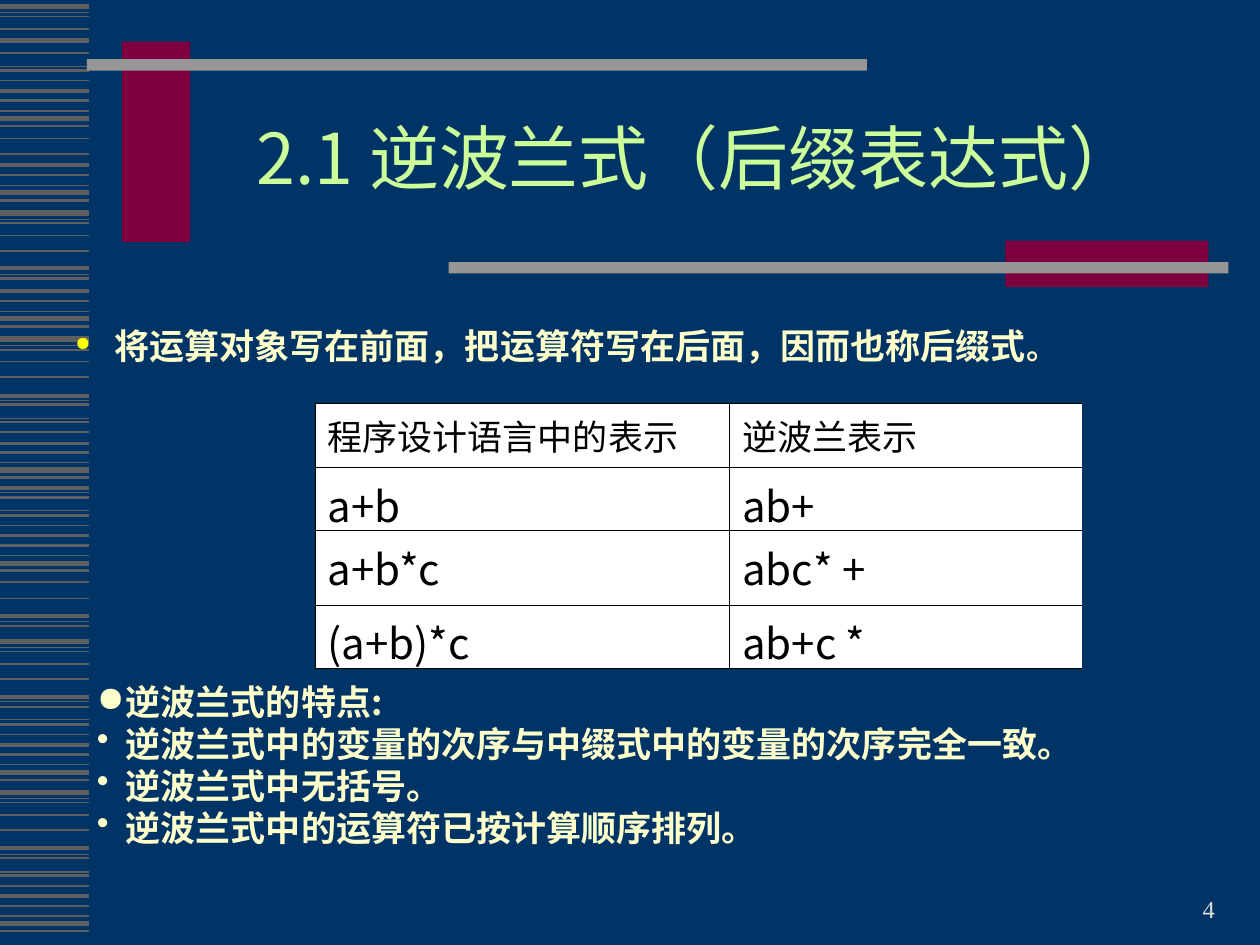
import pptx
import pptx.dml.color
import pptx.enum.shapes
import pptx.enum.text
import pptx.oxml
import pptx.oxml.ns
import pptx.util
from pptx.dml.color import RGBColor
from pptx.util import Inches

NAVY = RGBColor(0x00, 0x33, 0x66)
STRIPE_GRAY = RGBColor(0x5F, 0x5F, 0x5F)
BAR_GRAY = RGBColor(0x96, 0x96, 0x96)
MAROON = RGBColor(0x7E, 0x00, 0x3F)
LIME = RGBColor(0xCC, 0xFF, 0x99)
CREAM = RGBColor(0xFF, 0xFF, 0xCC)
YELLOW = RGBColor(0xFF, 0xFF, 0x00)
NUMBER_GRAY = RGBColor(0xDD, 0xDD, 0xDD)
BLACK = RGBColor(0x00, 0x00, 0x00)
WHITE = RGBColor(0xFF, 0xFF, 0xFF)

CHINESE_FONT = "Noto Sans CJK SC"
NUMBER_FONT = "Times New Roman"
ALIGN = pptx.enum.text.PP_ALIGN
ANCHOR = pptx.enum.text.MSO_ANCHOR

STRIPES = {
    0.75: [0.1, 0.53, 0.88, 1.47, 1.74, 2.18, 2.47, 2.74, 3.18, 3.32, 3.67, 3.91,
           4.05, 4.41, 4.93, 5.14, 5.57, 5.71, 6.07, 6.34, 6.78, 6.92, 7.27],
    1: [0.13, 0.23, 0.64, 1.1, 1.22, 1.77, 1.87, 1.99, 2.78, 2.87, 2.99, 3.43,
        4.17, 4.62, 4.75, 5.17, 5.27, 5.39, 5.83, 6.37, 6.47, 6.59, 7.03],
    1.5: [0.42, 0.56, 0.8, 1, 1.39, 1.59, 2.21, 2.39, 2.59, 3.21, 3.35, 3.59, 3.79,
          3.95, 4.09, 4.33, 4.53, 4.97, 5.61, 5.75, 5.99, 6.19, 6.81, 6.95, 7.19, 7.39],
    2.25: [0.72, 1.31, 2.13, 2.31, 3.14, 3.52, 3.87, 4.25, 4.89, 5.53, 5.91, 6.73, 7.11],
    3: [0.05, 0.32, 0.94, 1.53, 1.69, 2.53, 2.69, 3.73, 4.47, 5.09, 6.13, 6.29, 7.33],
}
NOTATIONS = [
    ("程序设计语言中的表示", "逆波兰表示"),
    ("a+b", "ab+"),
    ("a+b*c", "abc* +"),
    ("(a+b)*c", "ab+c *"),
]
FEATURES = [
    ("●", "逆波兰式的特点:"),
    ("•", "逆波兰式中的变量的次序与中缀式中的变量的次序完全一致。"),
    ("•", "逆波兰式中无括号。"),
    ("•", "逆波兰式中的运算符已按计算顺序排列。"),
]


def add_child(parent, tag, **attributes):
    """Append a DrawingML element with the given attributes."""
    child = pptx.oxml.parse_xml(f"<a:{tag} {pptx.oxml.ns.nsdecls('a')}/>")
    for name, value in attributes.items():
        child.set(name, str(value))
    parent.append(child)
    return child


def set_font(paragraph, size, color, name=CHINESE_FONT, bold=False):
    """Set the font of a whole paragraph, for Latin and Chinese text."""
    font = paragraph.font
    font.name, font.size, font.bold = name, pptx.util.Pt(size), bold
    font.color.rgb = color
    properties = paragraph._p.get_or_add_pPr().find(pptx.oxml.ns.qn("a:defRPr"))
    add_child(properties, "ea", typeface=name)


def set_bullet(paragraph, character, color, margin, hanging, percent=100):
    """Give a paragraph a coloured bullet and a hanging indent."""
    properties = paragraph._p.get_or_add_pPr()
    properties.set("marL", str(margin))
    properties.set("indent", str(-hanging))
    add_child(add_child(properties, "buClr"), "srgbClr", val=color)
    add_child(properties, "buSzPct", val=percent * 1000)
    add_child(properties, "buChar", char=character)


def add_text_frame(slide, left, top, width, height, anchor=ANCHOR.TOP):
    """Add a wrapping text box and return its text frame."""
    text_frame = slide.shapes.add_textbox(left, top, width, height).text_frame
    text_frame.word_wrap = True
    text_frame.vertical_anchor = anchor
    return text_frame


def add_stripes(slide, left, top, width):
    """Draw the column of horizontal stripes."""
    for weight, offsets in STRIPES.items():
        for offset in offsets:
            y = top + Inches(offset)
            stripe = slide.shapes.add_connector(
                pptx.enum.shapes.MSO_CONNECTOR.STRAIGHT, left, y, left + width, y)
            stripe.line.color.rgb = STRIPE_GRAY
            stripe.line.width = pptx.util.Pt(weight)
            add_child(stripe._element.spPr, "effectLst")


def add_title_bars(slide, left, top):
    """Draw the blocks and bars that frame the title."""
    bars = [
        (0.28, 0, 0.54, 1.59, MAROON),
        (0, 0.14, 6.19, 0.09, BAR_GRAY),
        (7.29, 1.58, 1.61, 0.37, MAROON),
        (2.87, 1.75, 6.19, 0.09, BAR_GRAY),
    ]
    for x, y, width, height, color in bars:
        bar = slide.shapes.add_shape(
            pptx.enum.shapes.MSO_SHAPE.RECTANGLE,
            left + Inches(x), top + Inches(y), Inches(width), Inches(height))
        bar.shadow.inherit = False
        bar.fill.solid()
        bar.fill.fore_color.rgb = color
        bar.line.fill.background()


def add_title(slide, left, top, width, height):
    """Write the slide title."""
    paragraph = add_text_frame(slide, left, top, width, height, ANCHOR.MIDDLE).paragraphs[0]
    paragraph.text = "2.1 逆波兰式（后缀表达式）"
    paragraph.alignment = ALIGN.CENTER
    paragraph.line_spacing = 0.85
    set_font(paragraph, 40, LIME)


def add_definition(slide, left, top, width, height):
    """Write the bulleted definition, with a smaller full stop."""
    paragraph = add_text_frame(slide, left, top, width, height).paragraphs[0]
    paragraph.add_run().text = "将运算对象写在前面，把运算符写在后面，因而也称后缀式"
    full_stop = paragraph.add_run()
    full_stop.text = "。"
    full_stop.font.size = pptx.util.Pt(18)
    paragraph.line_spacing = 1.1
    set_bullet(paragraph, "●", YELLOW, Inches(0.81), Inches(0.31), 55)
    set_font(paragraph, 20, CREAM, bold=True)


def set_borders(cell, sides):
    """Draw hairlines on the named sides of a cell and clear the others."""
    properties = cell._tc.get_or_add_tcPr()
    for index, side in enumerate("LRTB"):
        line = add_child(properties, f"ln{side}", w=pptx.util.Pt(0.11))
        if side in sides:
            add_child(add_child(line, "solidFill"), "srgbClr", val=BLACK)
        else:
            add_child(line, "noFill")
        properties.insert(index, line)


def add_notation_table(slide, left, top, width, height):
    """Build the table comparing infix and reverse Polish notation."""
    table = slide.shapes.add_table(len(NOTATIONS), 2, left, top, width, height).table
    for column, column_width in zip(table.columns, (3.29, 2.8)):
        column.width = Inches(column_width)
    for row, row_height in zip(table.rows, (0.51, 0.49, 0.59, 0.49)):
        row.height = Inches(row_height)
    for row_index, texts in enumerate(NOTATIONS):
        for column_index, text in enumerate(texts):
            cell = table.cell(row_index, column_index)
            cell.fill.solid()
            cell.fill.fore_color.rgb = WHITE
            set_borders(cell, "LTB" if column_index else "LRTB")
            paragraph = cell.text_frame.paragraphs[0]
            paragraph.text = text
            set_font(paragraph, 24 if row_index else 20, BLACK)


def add_features(slide, left, top, width, height):
    """List the features of reverse Polish notation."""
    text_frame = add_text_frame(slide, left, top, width, height)
    for index, (character, text) in enumerate(FEATURES):
        paragraph = text_frame.add_paragraph() if index else text_frame.paragraphs[0]
        paragraph.text = text
        set_bullet(paragraph, character, CREAM, Inches(0.23), Inches(0.23))
        set_font(paragraph, 20, CREAM, bold=True)


def add_slide_number(slide, left, top, width, height):
    """Write the slide number."""
    paragraph = add_text_frame(slide, left, top, width, height, ANCHOR.BOTTOM).paragraphs[0]
    paragraph.text = "4"
    paragraph.alignment = ALIGN.RIGHT
    set_font(paragraph, 14, NUMBER_GRAY, NUMBER_FONT)


def main():
    """Build and save the presentation."""
    presentation = pptx.Presentation()
    presentation.slide_width, presentation.slide_height = Inches(10), Inches(7.5)
    slide = presentation.slides.add_slide(presentation.slide_layouts[6])
    slide.background.fill.solid()
    slide.background.fill.fore_color.rgb = NAVY
    add_stripes(slide, Inches(0), Inches(0), Inches(0.71))
    add_title_bars(slide, Inches(0.69), Inches(0.33))
    add_slide_number(slide, Inches(7.34), Inches(6.88), Inches(2.4), Inches(0.5))
    add_title(slide, Inches(1.5), Inches(0.67), Inches(8.07), Inches(1.25))
    add_definition(slide, Inches(0), Inches(2.49), Inches(9.29), Inches(0.55))
    add_notation_table(slide, Inches(2.5), Inches(3.2), Inches(6.09), Inches(2.09))
    add_features(slide, Inches(0.67), Inches(5.35), Inches(9.31), Inches(1.7))
    presentation.save("out.pptx")


if __name__ == "__main__":
    main()
